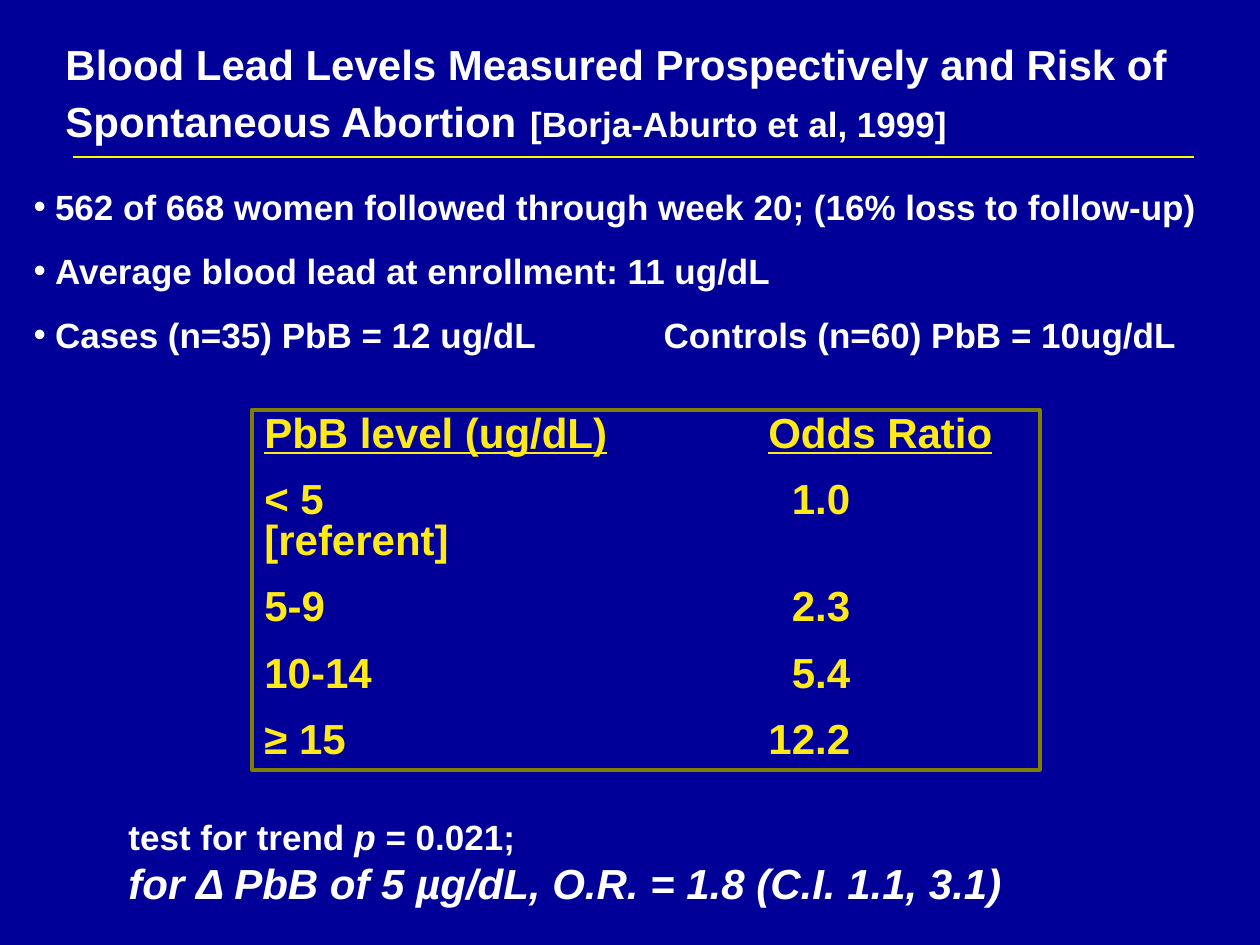
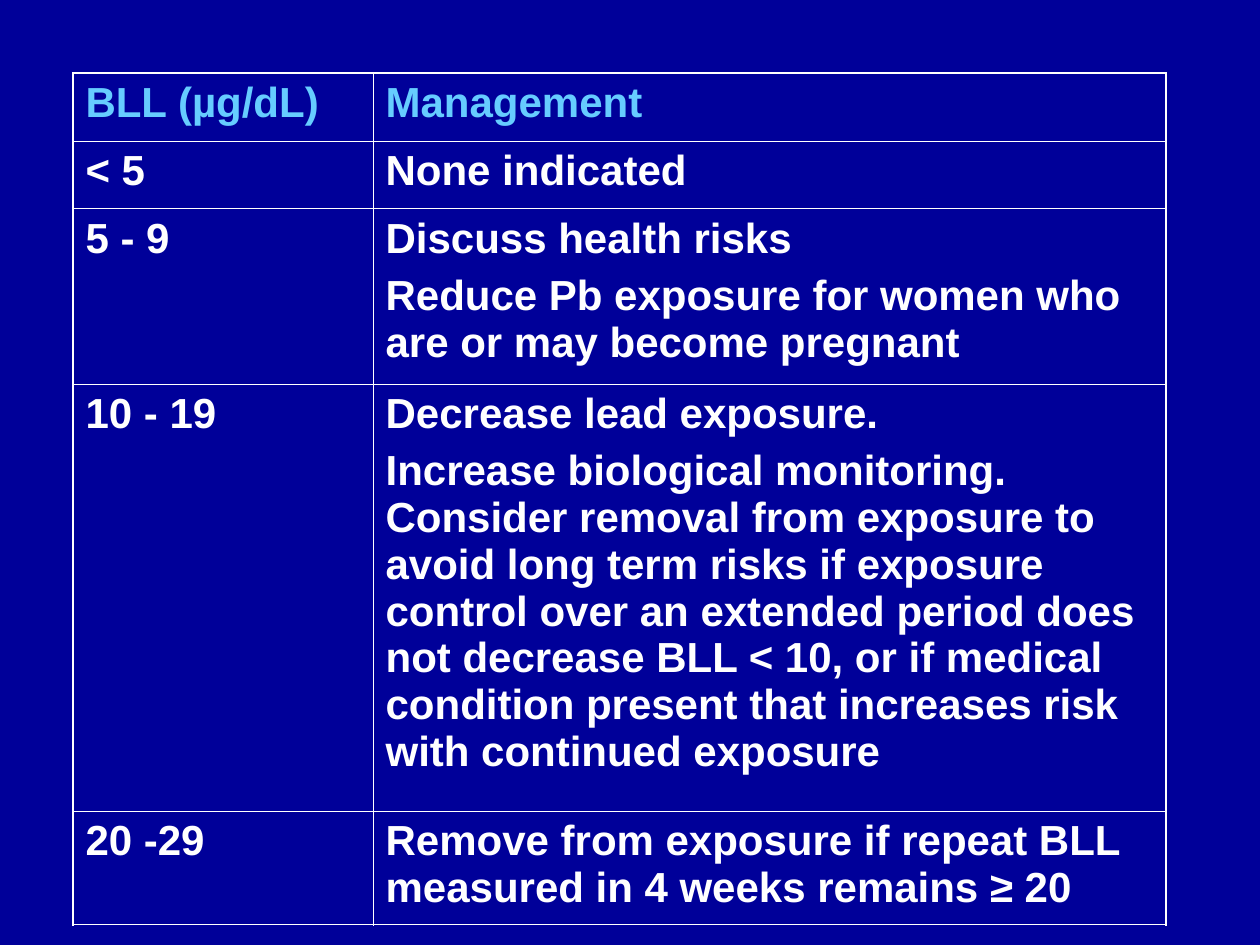
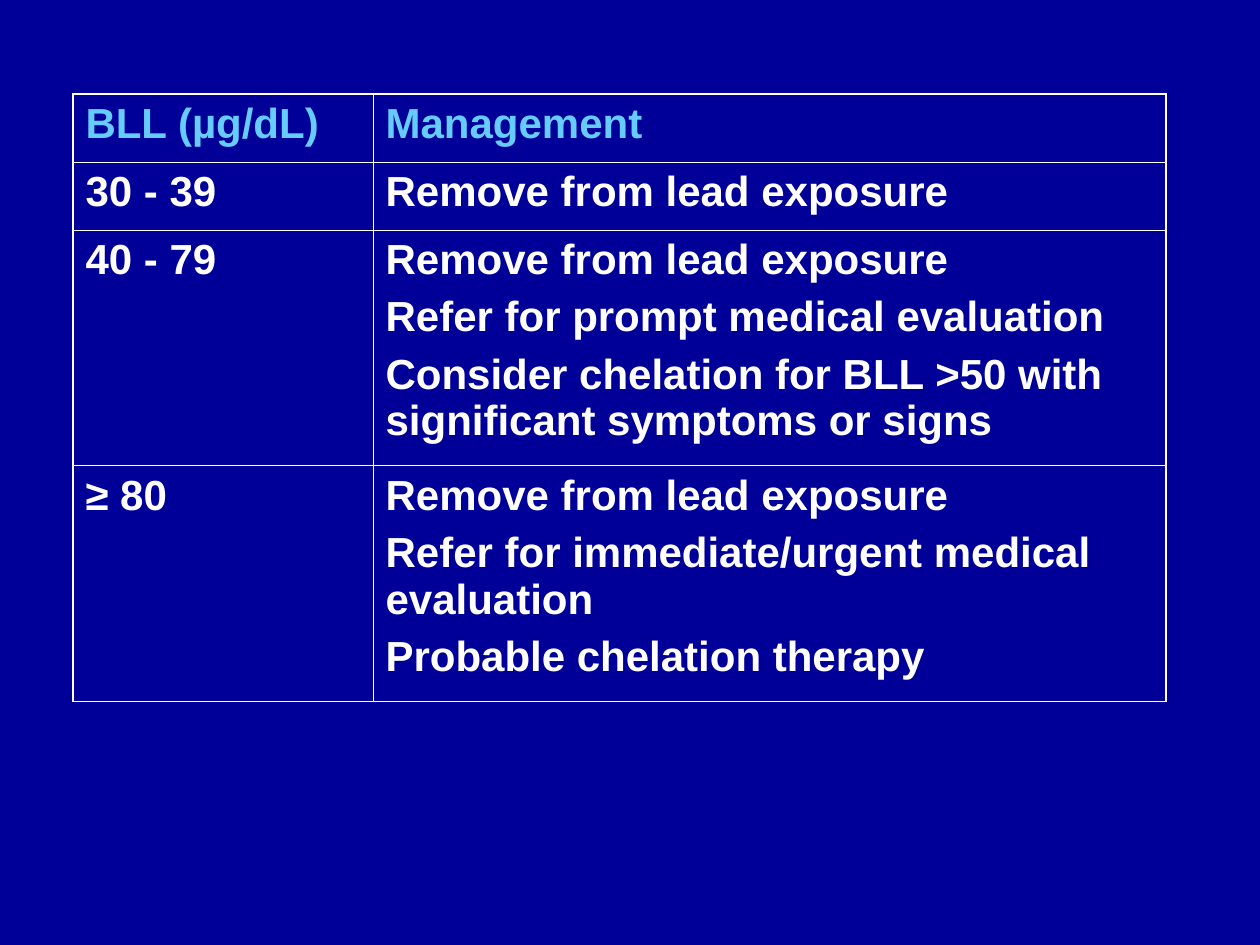
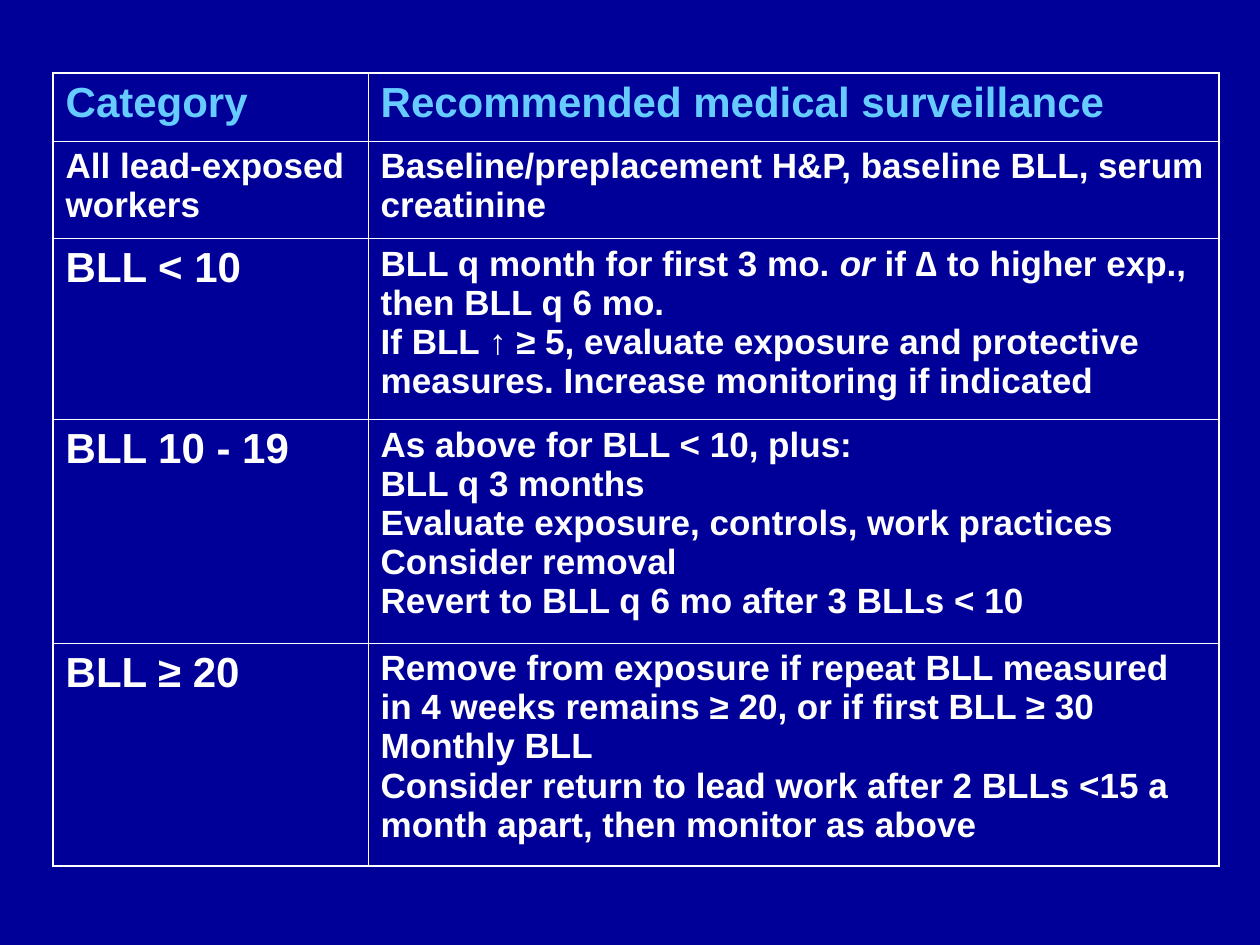
import pptx
import pptx.util
import pptx.dml.color
import pptx.enum.shapes
import pptx.enum.text
import pptx.oxml.ns
from lxml import etree

Cm = pptx.util.Cm
Pt = pptx.util.Pt
RGBColor = pptx.dml.color.RGBColor
Align = pptx.enum.text.PP_ALIGN
Anchor = pptx.enum.text.MSO_ANCHOR
qn = pptx.oxml.ns.qn

NAVY = RGBColor(0x00, 0x00, 0x99)
WHITE = RGBColor(0xFF, 0xFF, 0xFF)
SKY = RGBColor(0x66, 0xCC, 0xFF)
YELLOW = RGBColor(0xFF, 0xEA, 0x18)
LEMON = RGBColor(0xFA, 0xFD, 0x00)
OLIVE = RGBColor(0x80, 0x80, 0x00)

FONT = "Arial"
BASE_FONT = {"name": FONT, "bold": True}
THIN, THICK = 0.45, 1.08
LINE_BREAK = "\v"

TITLE = [
    "Blood Lead Levels Measured Prospectively and Risk of",
    ["Spontaneous Abortion", (" ", {"size": Pt(28)}),
     ("[Borja-Aburto et al, 1999]", {"size": Pt(20)})],
]
FINDINGS = [
    "562 of 668 women followed through week 20; (16% loss to follow-up)",
    "Average blood lead at enrollment: 11 ug/dL",
    "Cases (n=35) PbB = 12 ug/dL\tControls (n=60) PbB = 10ug/dL",
]
UNDERLINE = {"underline": True}
ODDS_HEADER = [("PbB level (ug/dL)", UNDERLINE), "\t", ("Odds Ratio", UNDERLINE)]
ODDS_ROWS = [
    ["< 5\t1.0", LINE_BREAK, "[referent]"],
    "5-9\t2.3",
    "10-14\t5.4",
    "≥ 15\t12.2",
]
TREND = [["test for trend ", ("p", {"italic": True}), " = 0.021;", LINE_BREAK,
          ("for Δ PbB of 5 µg/dL, O.R. = 1.8 (C.I. 1.1, 3.1)",
           {"size": Pt(24), "italic": True})]]

# Each table row: height in cm, first cell, paragraphs of the second cell
MANAGEMENT_HEADER = (1.37, "BLL (µg/dL)", ["Management"])
LOW_LEVELS = [
    MANAGEMENT_HEADER,
    (1.37, "< 5", ["None indicated"]),
    (3.53, "5 - 9", [
        "Discuss health risks",
        "Reduce Pb exposure for women who are or may become pregnant"]),
    (8.61, "10 - 19", [
        "Decrease lead exposure.",
        "Increase biological monitoring. Consider removal from exposure to "
        "avoid long term risks if exposure control over an extended period "
        "does not decrease BLL < 10, or if medical condition present that "
        "increases risk with continued exposure"]),
    (2.29, "20 -29", [
        "Remove from exposure if repeat BLL measured in 4 weeks remains ≥ 20"]),
]
HIGH_LEVELS = [
    MANAGEMENT_HEADER,
    (1.37, "30 - 39", ["Remove from lead exposure"]),
    (4.75, "40 - 79", [
        "Remove from lead exposure",
        "Refer for prompt medical evaluation",
        "Consider chelation for BLL >50 with significant symptoms or signs"]),
    (4.75, "≥ 80", [
        "Remove from lead exposure",
        "Refer for immediate/urgent medical evaluation",
        "Probable chelation therapy"]),
]
SURVEILLANCE = [
    (1.37, "Category", ["Recommended medical surveillance"]),
    (1.96, [("All lead-exposed workers", {"size": Pt(20)})], [
        "Baseline/preplacement H&P, baseline BLL, serum creatinine"]),
    (3.66, "BLL < 10", [
        ["BLL q month for first 3 mo. ", ("or", {"italic": True}),
         " if ∆ to higher exp., then BLL q 6 mo."],
        "If BLL ↑ ≥ 5, evaluate exposure and protective measures. "
        "Increase monitoring if indicated"]),
    (4.5, "BLL 10 - 19", [
        "As above for BLL < 10, plus:",
        "BLL q 3 months",
        "Evaluate exposure, controls, work practices",
        "Consider removal",
        "Revert to BLL q 6 mo after 3 BLLs < 10"]),
    (4.5, "BLL ≥ 20", [
        "Remove from exposure if repeat BLL measured in 4 weeks remains ≥ 20, "
        "or if first BLL ≥ 30",
        "Monthly BLL",
        "Consider return to lead work after 2 BLLs <15 a month apart, "
        "then monitor as above"]),
]


def apply_formats(target, formats):
    for name, value in formats.items():
        setattr(target, name, value)


def add_bullet(paragraph, indent):
    properties = paragraph._p.get_or_add_pPr()
    properties.set("marL", str(indent))
    properties.set("indent", str(-indent))
    etree.SubElement(properties, qn("a:buFont"), typeface=FONT)
    etree.SubElement(properties, qn("a:buChar"), char="•")


def add_tab(paragraph, position, side="l"):
    properties = paragraph._p.get_or_add_pPr()
    tabs = etree.SubElement(properties, qn("a:tabLst"))
    etree.SubElement(tabs, qn("a:tab"), pos=str(position), algn=side)


def fill_text(frame, paragraphs, size, color, gap=0, formats=None):
    """Write paragraphs, each a string or a list of strings and (text, font formats)."""
    frame.word_wrap = True
    for index, content in enumerate(paragraphs):
        paragraph = frame.add_paragraph() if index else frame.paragraphs[0]
        apply_formats(paragraph, {"alignment": Align.LEFT, **(formats or {})})
        if index and gap:
            paragraph.space_before = Pt(gap)
        for part in [content] if isinstance(content, str) else content:
            if part == LINE_BREAK:
                paragraph.add_line_break()
                continue
            text, extra = (part, {}) if isinstance(part, str) else part
            span = paragraph.add_run()
            span.text = text
            apply_formats(span.font, {**BASE_FONT, "size": Pt(size), **extra})
            span.font.color.rgb = color


def add_text(page, box, paragraphs, size, gap=0):
    frame = page.shapes.add_textbox(*map(Cm, box)).text_frame
    fill_text(frame, paragraphs, size, WHITE, gap)
    return frame


def add_title(page, box):
    left, top, width, height = box
    frame = add_text(page, box, TITLE, 24)
    frame.vertical_anchor = Anchor.MIDDLE
    rule_top = top + height + 0.07
    rule = page.shapes.add_connector(
        pptx.enum.shapes.MSO_CONNECTOR.STRAIGHT,
        Cm(left + 0.41), Cm(rule_top), Cm(left + width - 0.23), Cm(rule_top))
    rule.line.color.rgb = LEMON
    rule.line.width = Pt(1)
    etree.SubElement(rule._element.spPr, qn("a:effectLst"))


def add_findings(page, box):
    frame = add_text(page, box, FINDINGS, 20, gap=12.5)
    for paragraph in frame.paragraphs:
        add_bullet(paragraph, Cm(0.43))
    add_tab(frame.paragraphs[-1], Cm(12.7))


def add_odds_panel(page, box):
    panel = page.shapes.add_shape(
        pptx.enum.shapes.MSO_SHAPE.RECTANGLE, *map(Cm, box))
    panel.shadow.inherit = False
    panel.fill.background()
    panel.line.color.rgb = OLIVE
    panel.line.width = Pt(2.25)
    frame = panel.text_frame
    frame.vertical_anchor = Anchor.TOP
    fill_text(frame, [ODDS_HEADER, *ODDS_ROWS], 24, YELLOW, gap=15,
              formats={"line_spacing": 0.8})
    header, *rows = frame.paragraphs
    add_tab(header, Cm(10.16))
    for row in rows:
        add_tab(row, Cm(11.81), "r")


def set_borders(cell, widths):
    properties = cell._tc.get_or_add_tcPr()
    for index, (side, width) in enumerate(widths.items()):
        line = etree.Element(qn(f"a:ln{side}"), w=str(Pt(width)))
        fill = etree.SubElement(line, qn("a:solidFill"))
        etree.SubElement(fill, qn("a:srgbClr"), val=str(WHITE))
        properties.insert(index, line)


def add_level_table(page, left, top, columns, rows, body_size=24, gap=0):
    """Two-column ruled table with a heavier outer frame."""
    heights = [row[0] for row in rows]
    table = page.shapes.add_table(
        len(rows), len(columns), Cm(left), Cm(top),
        Cm(sum(columns)), Cm(sum(heights))).table
    apply_formats(table, {"first_row": False, "horz_banding": False})
    for column, width in zip(table.columns, columns):
        column.width = Cm(width)
    last = len(rows) - 1
    for index, (height, label, details) in enumerate(rows):
        table.rows[index].height = Cm(height)
        color = WHITE if index else SKY
        for side, paragraphs in enumerate(([label], details)):
            cell = table.cell(index, side)
            cell.fill.background()
            size = body_size if index and side else 24
            fill_text(cell.text_frame, paragraphs, size, color, gap)
            set_borders(cell, {
                "L": THIN if side else THICK,
                "R": THICK if side else THIN,
                "T": THIN if index else THICK,
                "B": THICK if index == last else THIN,
            })


def build_study_page(page):
    add_title(page, (1.07, 0.64, 23.22, 2.46))
    add_findings(page, (0.43, 3.61, 24.33, 3.68))
    add_odds_panel(page, (5.08, 8.26, 15.88, 7.26))
    add_text(page, (2.34, 16.31, 21.08, 2.13), TREND, 20)


def main():
    deck = pptx.Presentation()
    deck.slide_width, deck.slide_height = Cm(25.4), Cm(19.05)
    background = deck.slide_master.background.fill
    background.solid()
    background.fore_color.rgb = NAVY
    blank = deck.slide_layouts[6]
    study, low, high, surveillance = (deck.slides.add_slide(blank) for _ in range(4))

    build_study_page(study)
    management_columns = (6.05, 15.98)
    add_level_table(low, 1.47, 1.47, management_columns, LOW_LEVELS, gap=6)
    add_level_table(high, 1.47, 1.9, management_columns, HIGH_LEVELS, gap=6)
    add_level_table(surveillance, 1.07, 1.47, (6.35, 17.15), SURVEILLANCE, body_size=20)
    deck.save("out.pptx")


if __name__ == "__main__":
    main()
